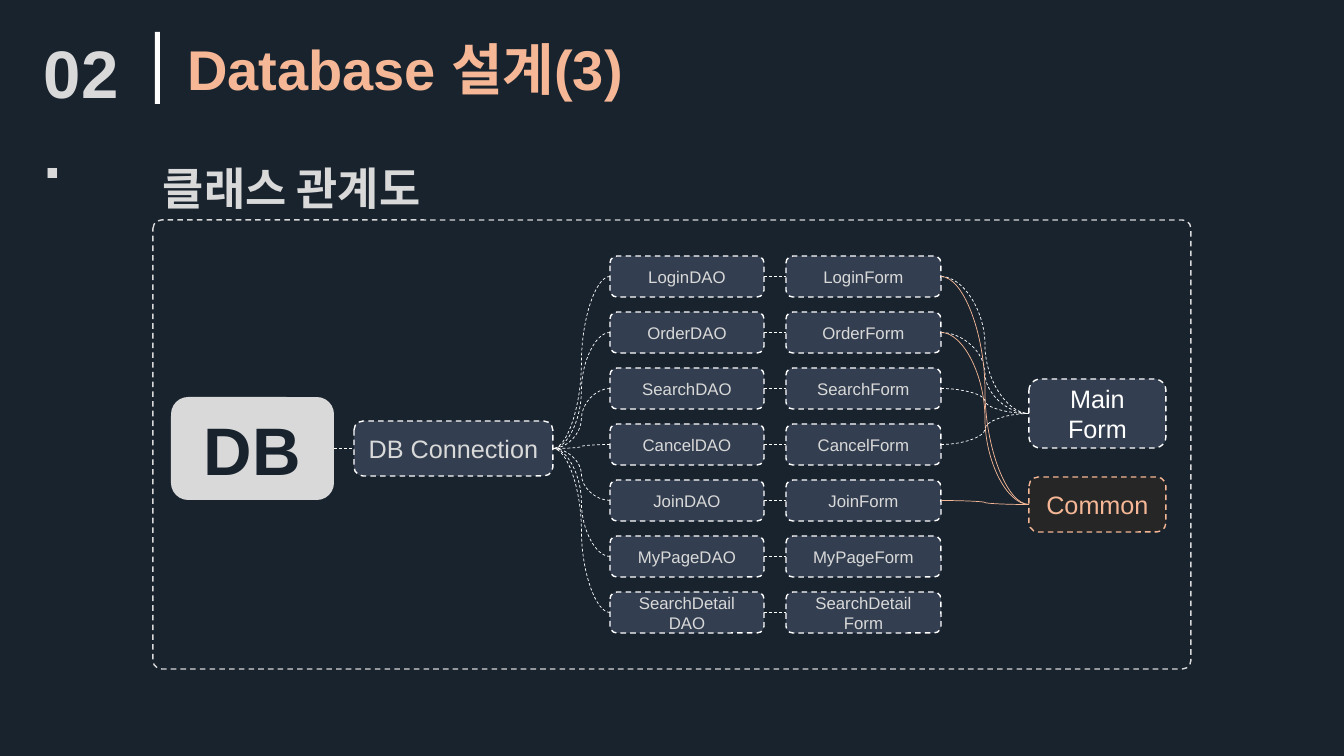
from pptx import Presentation
from pptx.dml.color import RGBColor
from pptx.enum.dml import MSO_LINE
from pptx.enum.shapes import MSO_CONNECTOR, MSO_SHAPE
from pptx.enum.text import MSO_ANCHOR, MSO_AUTO_SIZE, PP_ALIGN
from pptx.oxml.ns import qn
from pptx.util import Pt
from lxml.etree import SubElement

PX = 914400 / 100.8
COLORS = {
    "navy": "19232E",
    "slate": "333F50",
    "dark": "262626",
    "gray": "D9D9D9",
    "white": "FFFFFF",
    "peach": "F5B795",
}
TOP, LEFT, BOTTOM, RIGHT = range(4)
TABLES = ["Login", "Order", "Search", "Cancel", "Join", "MyPage", "SearchDetail"]
MAIN_LINKS = ["Login", "Order", "Search", "Cancel"]
COMMON_LINKS = ["Login", "Order", "Join"]


def px(*values):
    return [round(v * PX) for v in values]


def color(name):
    return RGBColor.from_string(COLORS[name])


def write(tf, text, size, ink, bold=False, align=PP_ALIGN.LEFT, anchor=MSO_ANCHOR.TOP, wrap=True):
    tf.text = text
    tf.auto_size = MSO_AUTO_SIZE.NONE
    tf.word_wrap = wrap
    tf.vertical_anchor = anchor
    for p in tf.paragraphs:
        p.alignment = align
        p.font.name = "Arial"
        p.font.size = Pt(size)
        p.font.bold = bold
        p.font.color.rgb = color(ink)


def add_box(s, box, fill=None, line=None, kind=MSO_SHAPE.ROUNDED_RECTANGLE):
    sp = s.shapes.add_shape(kind, *px(*box))
    sp.shadow.inherit = False
    if fill:
        sp.fill.solid()
        sp.fill.fore_color.rgb = color(fill)
    else:
        sp.fill.background()
    if line:
        sp.line.color.rgb = color(line)
        sp.line.width = Pt(1)
        sp.line.dash_style = MSO_LINE.DASH
    else:
        sp.line.fill.background()
    return sp


def add_node(s, box, text, size, ink="gray", fill="slate", line="white", bold=False):
    sp = add_box(s, box, fill, line)
    write(sp.text_frame, text, size, ink, bold, PP_ALIGN.CENTER, MSO_ANCHOR.MIDDLE)
    return sp


def add_link(s, start, start_side, end, end_side, ink="white", dashed=True):
    cx = s.shapes.add_connector(MSO_CONNECTOR.CURVE, 0, 0, 0, 0)
    cx.begin_connect(start, start_side)
    cx.end_connect(end, end_side)
    cx.line.color.rgb = color(ink)
    cx.line.width = Pt(0.5)
    if dashed:
        cx.line.dash_style = MSO_LINE.DASH
    SubElement(cx._element.spPr, qn("a:effectLst"))


def add_header(s, x, y):
    add_box(s, (x + 121, y + 13, 5, 72), "white", kind=MSO_SHAPE.RECTANGLE)
    title = s.shapes.title
    title.left, title.top, title.width, title.height = px(x + 143, y + 10, 699, 78)
    write(title.text_frame, "Database 설계(3)", 40, "peach", True)
    number = s.shapes.add_textbox(*px(x, y, 104, 92))
    write(number.text_frame, "02.", 48, "gray", True)
    number.text_frame.margin_top = px(12)[0]


def add_class_diagram(s, x, y, w, h):
    heading = s.shapes.add_textbox(*px(x, y - 64, 307, 65))
    write(heading.text_frame, "클래스 관계도", 32, "gray", True, wrap=False)
    frame = add_box(s, (x, y, w, h), line="gray")
    frame.adjustments[0] = 0.019

    db = add_node(s, (x + 18, y + 177, 163, 103), "DB", 48, "navy", "gray", None, True)
    connection = add_node(s, (x + 201, y + 201, 199, 55), "DB Connection", 18)
    daos, forms = {}, {}
    for i, name in enumerate(TABLES):
        row = y + 36 + 56 * i
        gap = "\n" if name == "SearchDetail" else ""
        daos[name] = add_node(s, (x + 457, row, 154, 41), f"{name}{gap}DAO", 12)
        gap = " " if gap else ""
        forms[name] = add_node(s, (x + 633, row, 155, 41), f"{name}{gap}Form", 12)
    main_form = add_node(s, (x + 876, y + 159, 137, 69), "Main Form", 18, "white")
    common = add_node(s, (x + 876, y + 257, 137, 55), "Common", 18, "peach", "dark", "peach")

    add_link(s, db, RIGHT, connection, LEFT)
    for name in TABLES:
        add_link(s, daos[name], LEFT, connection, RIGHT)
        add_link(s, daos[name], RIGHT, forms[name], LEFT)
    for name in MAIN_LINKS:
        add_link(s, forms[name], RIGHT, main_form, LEFT)
    for name in COMMON_LINKS:
        add_link(s, forms[name], RIGHT, common, LEFT, "peach", False)


def main():
    prs = Presentation()
    prs.slide_width, prs.slide_height = px(1344, 756)
    s = prs.slides.add_slide(prs.slide_layouts[5])
    s.background.fill.solid()
    s.background.fill.fore_color.rgb = color("navy")
    add_header(s, 34, 19)
    add_class_diagram(s, 153, 220, 1038, 449)
    prs.save("out.pptx")


if __name__ == "__main__":
    main()
